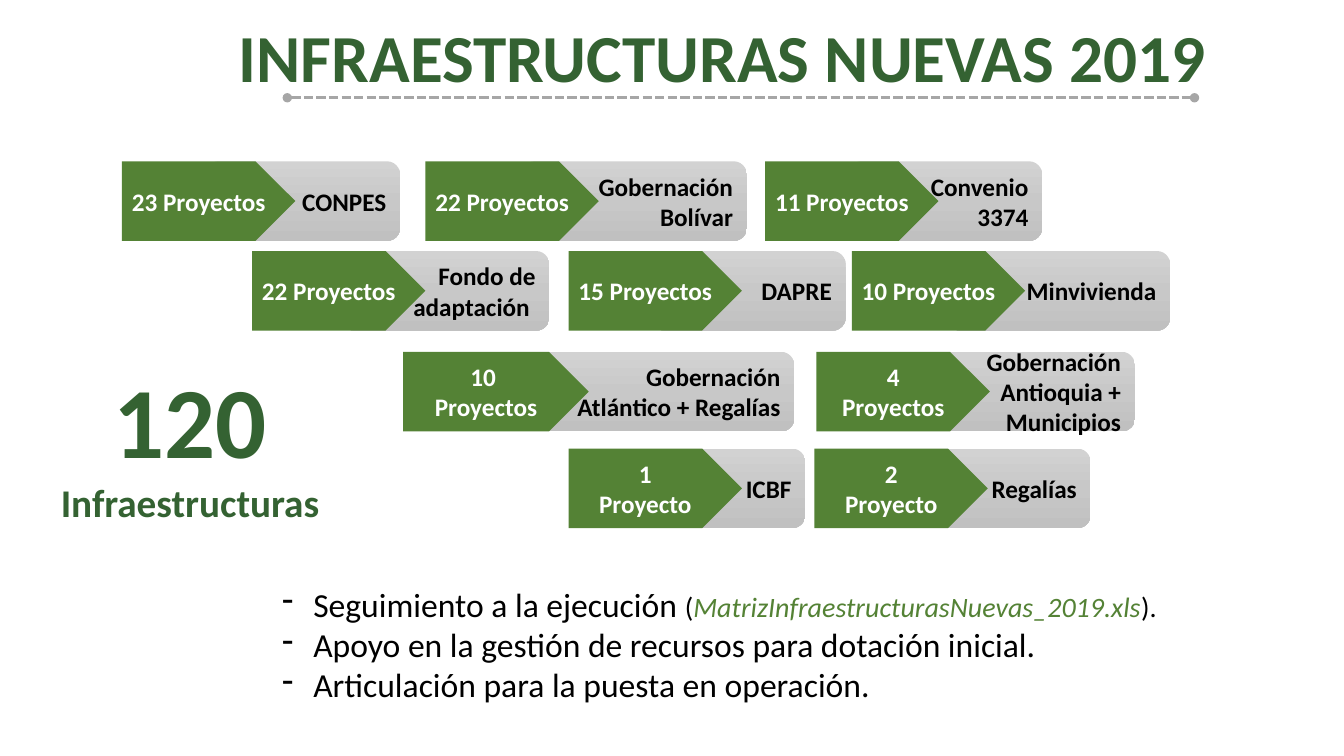
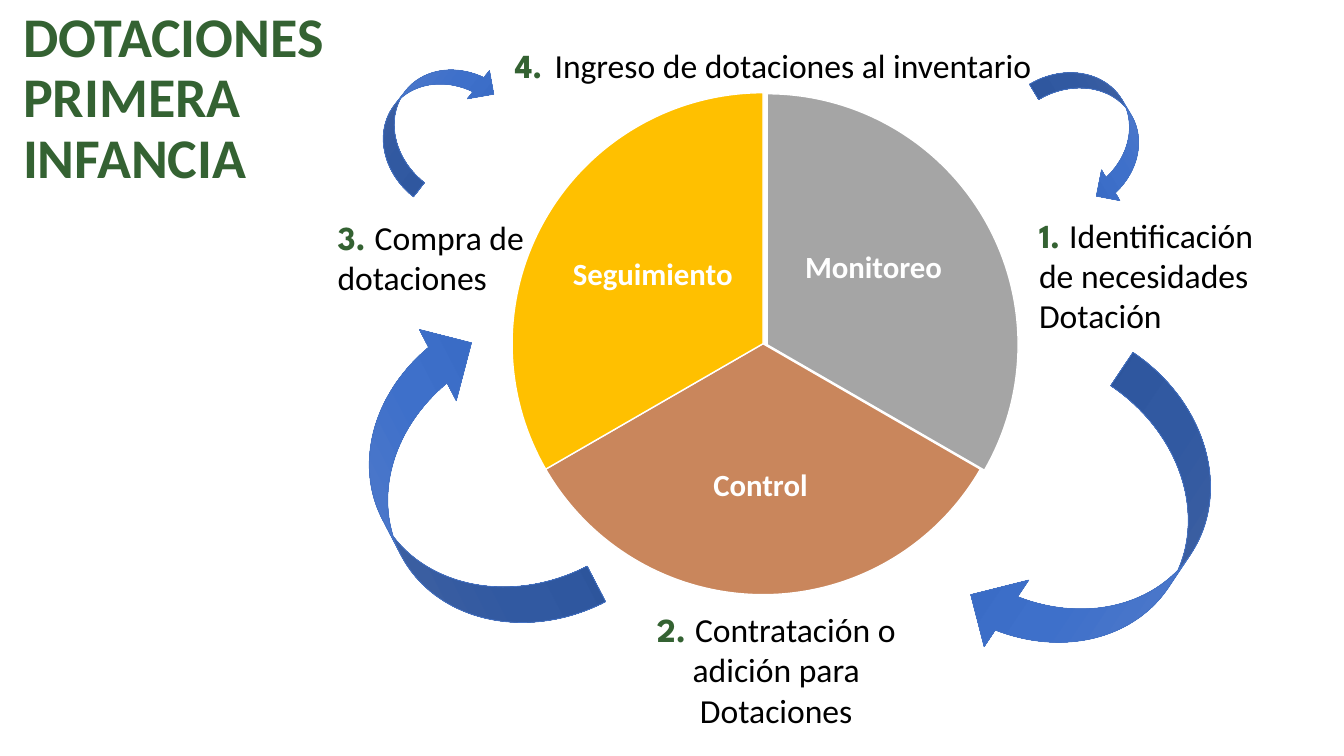
from copy import deepcopy

from lxml.etree import SubElement
from pptx import Presentation
from pptx.dml.color import RGBColor
from pptx.enum.dml import MSO_LINE
from pptx.enum.shapes import MSO_CONNECTOR, MSO_SHAPE
from pptx.enum.text import MSO_ANCHOR, PP_ALIGN
from pptx.oxml.ns import qn
from pptx.util import Inches, Pt

# Shared look; every position is counted in grid cells of a tenth of an inch
CELL = Inches(0.1)
COLUMNS, ROWS = 133.33, 75
BODY_FONT, NUMBER_FONT = "Calibri", "League Spartan"
BLACK = RGBColor(0x00, 0x00, 0x00)
WHITE = RGBColor(0xFF, 0xFF, 0xFF)
DARK_GREEN = RGBColor(0x34, 0x62, 0x32)
GREEN = RGBColor(0x54, 0x82, 0x35)
RULE_GRAY = RGBColor(0xA6, 0xA6, 0xA6)
BAR_GRAYS = [RGBColor(0xD2, 0xD2, 0xD2), RGBColor(0xC8, 0xC8, 0xC8),
             RGBColor(0xC0, 0xC0, 0xC0)]
ARROW_BLUES = [RGBColor(0x61, 0x83, 0xCB), RGBColor(0x3E, 0x70, 0xCA),
               RGBColor(0x30, 0x62, 0xBB)]
ARROW_EDGE = RGBColor(0x44, 0x72, 0xC4)
SLICE_GRAY = RGBColor(0xA5, 0xA5, 0xA5)
SLICE_BROWN = RGBColor(0xC9, 0x86, 0x5C)
SLICE_GOLD = RGBColor(0xFF, 0xC0, 0x00)

# Rows of project tags: top row, then (left, width, plate width, count, source)
TAG_ROWS = [
    (16, [(12.1, 27.6, 17.2, ["23 Proyectos"], ["CONPES"]),
          (42.2, 31.9, 17.2, ["22 Proyectos"], ["Gobernación", "Bolívar"]),
          (75.9, 27.5, 17.2, ["11 Proyectos"], ["Convenio", "3374"])]),
    (24.9, [(25, 29.5, 17.2, ["22 Proyectos"], ["Fondo de adaptación "]),
            (56.4, 27.5, 17.2, ["15 Proyectos"], ["DAPRE"]),
            (84.5, 31.6, 17.2, ["10 Proyectos"], ["Minvivienda"])]),
    (34.9, [(40, 38.8, 18.4, ["10 ", "Proyectos"],
             ["Gobernación", "Atlántico + Regalías"]),
            (81, 31.6, 17.2, ["4", "Proyectos"],
             ["Gobernación", "Antioquia +", "Municipios"])]),
    (44.5, [(56.4, 23.5, 17.2, ["1", "Proyecto"], ["ICBF"]),
            (80.8, 27.4, 17.2, ["2", "Proyecto"], ["Regalías"])]),
]
TAG_HEIGHT = 7.9
BAR_START = 0.3

# Slices: offset of the slice, angles, colour, label and the label's box
SLICES = [
    ((0.4, 0.1), (162, 18), SLICE_GRAY, "Monitoreo", (0.55, 0.185, 0.34, 0.33)),
    ((0, 0), (18, 90), SLICE_BROWN, "Control", (0.27, 0.63, 0.45, 0.31)),
    ((0, 0), (90, 162), SLICE_GOLD, "Seguimiento", (0.11, 0.2, 0.34, 0.33)),
]

# Steps around the pie: box, alignment, number, gap size, text
STEPS = [
    ((50.1, 2.9, 66.7, 6.4), PP_ALIGN.LEFT, "4.", 32,
     "Ingreso de dotaciones al inventario"),
    ((32.5, 21, 24.8, 9.1), PP_ALIGN.LEFT, "3.", 24, "Compra de dotaciones"),
    ((102.1, 20.8, 24.8, 13.1), PP_ALIGN.LEFT, "1.", 24,
     "Identificación de necesidades Dotación"),
    ((60.4, 59.9, 33.2, 13.1), PP_ALIGN.CENTER, "2.", 24,
     "Contratación o adición para Dotaciones"),
]
LARGE_ARROW, SMALL_ARROW = (32.9, 15.9), (14.7, 7.1)
ARROWS = [((93.4, 45.1), LARGE_ARROW, 123.8), ((29, 40.8), LARGE_ARROW, 242.6),
          ((35.4, 8), SMALL_ARROW, 308), ((101.6, 9.3), SMALL_ARROW, 59.1)]


def cells(*counts):
    return [round(count * CELL) for count in counts]


def run_of(text, size, color=BLACK, bold=False, italic=False, font=BODY_FONT):
    return text, size, color, bold, italic, font


def write(frame, paragraphs, align=PP_ALIGN.LEFT, spacing=None, dash=False):
    """Fill a frame with paragraphs, each one a list of runs."""
    for index, runs in enumerate(paragraphs):
        paragraph = frame.add_paragraph() if index else frame.paragraphs[0]
        paragraph.alignment = align
        if spacing:
            paragraph.line_spacing = spacing
        if dash:
            properties = paragraph._p.get_or_add_pPr()
            indent = Inches(0.31)
            properties.set("marL", str(indent))
            properties.set("indent", str(-indent))
            SubElement(properties, qn("a:buChar")).set("char", "-")
        for text, size, color, bold, italic, font in runs:
            run = paragraph.add_run()
            run.text = text
            run.font.size = Pt(size)
            run.font.color.rgb = color
            run.font.bold = bold
            run.font.italic = italic
            run.font.name = font


def add_text(slide, box, paragraphs, wrap=True, anchor=MSO_ANCHOR.TOP,
             margin=None, **style):
    frame = slide.shapes.add_textbox(*cells(*box)).text_frame
    frame.word_wrap = wrap
    frame.vertical_anchor = anchor
    if margin is not None:
        set_margins(frame, margin)
    write(frame, paragraphs, **style)


def set_margins(frame, margin):
    frame.margin_left = frame.margin_right = Inches(margin)
    frame.margin_top = frame.margin_bottom = Inches(margin)


def add_title(slide, box, text, size, **style):
    add_text(slide, box, [[run_of(text, size, DARK_GREEN, True)]], **style)


def add_shape(slide, kind, box, fill, edge=None, edge_width=1):
    """Add a shape filled with one colour or a three-stop vertical gradient."""
    shape = slide.shapes.add_shape(kind, *cells(*box))
    shape.shadow.inherit = False
    if isinstance(fill, list):
        shape.fill.gradient()
        shape.fill.gradient_angle = 270
        first = shape._element.spPr.find(".//" + qn("a:gs"))
        middle = deepcopy(first)
        middle.set("pos", "50000")
        first.addnext(middle)
        for stop, color in zip(shape.fill.gradient_stops, fill):
            stop.color.rgb = color
    else:
        shape.fill.solid()
        shape.fill.fore_color.rgb = fill
    if edge is None:
        shape.line.fill.background()
    else:
        shape.line.color.rgb = edge
        shape.line.width = Pt(edge_width)
    return shape


def add_rule(slide, left, right, row):
    """Dashed line with round ends below the title."""
    rule = slide.shapes.add_connector(MSO_CONNECTOR.STRAIGHT,
                                      *cells(left, row, right, row))
    rule.line.color.rgb = RULE_GRAY
    rule.line.width = Pt(2.25)
    rule.line.dash_style = MSO_LINE.SQUARE_DOT
    line = rule.line._get_or_add_ln()
    for end in ("a:headEnd", "a:tailEnd"):
        SubElement(line, qn(end)).set("type", "oval")
    SubElement(rule._element.spPr, qn("a:effectLst"))


def add_tag(slide, box, plate_width, count, source):
    """Gray source bar whose left part lies under a green plate."""
    left, top, width, height = box
    bar = add_shape(slide, MSO_SHAPE.ROUNDED_RECTANGLE,
                    (left + BAR_START * width, top,
                     (1 - BAR_START) * width, height), BAR_GRAYS)
    plate = add_shape(slide, MSO_SHAPE.PENTAGON,
                      (left, top, plate_width, height), GREEN)
    set_margins(plate.text_frame, 0.05)
    for shape, lines, color, align in (
            (bar, source, BLACK, PP_ALIGN.RIGHT),
            (plate, count, WHITE, PP_ALIGN.CENTER)):
        shape.text_frame.word_wrap = True
        shape.text_frame.vertical_anchor = MSO_ANCHOR.MIDDLE
        write(shape.text_frame, [[run_of(line, 18, color, True)] for line in lines],
              align)


def add_pie(slide, box):
    """Three equal slices, with labels placed as shares of the box."""
    left, top, width, height = box
    for (shift_x, shift_y), angles, color, label, share in SLICES:
        wedge = add_shape(slide, MSO_SHAPE.PIE,
                          (left + shift_x, top + shift_y, width, height),
                          color, WHITE)
        wedge.adjustments[0], wedge.adjustments[1] = angles
        x, y, w, h = share
        add_text(slide, (left + x * width, top + y * height, w * width, h * height),
                 [[run_of(label, 22, WHITE, True)]], anchor=MSO_ANCHOR.MIDDLE,
                 margin=0.03, align=PP_ALIGN.CENTER, spacing=0.9)


def build_new_buildings(slide):
    add_title(slide, (22.1, 1, 99.2, 9.1), "INFRAESTRUCTURAS NUEVAS 2019", 48,
              wrap=False, align=PP_ALIGN.CENTER)
    add_rule(slide, 28.5, 118.5, 9.7)
    # Follow-up tasks
    add_text(slide, (27, 57.4, 100.6, 13.1), [
        [run_of("Seguimiento a la ejecución ", 24), run_of("(", 20),
         run_of("MatrizInfraestructurasNuevas_2019.xls", 20, GREEN, italic=True),
         run_of(").", 20)],
        [run_of("Apoyo en la gestión de recursos para dotación inicial.", 24)],
        [run_of("Articulación para la puesta en operación.", 24)],
    ], dash=True)
    # Projects by source
    for top, tags in TAG_ROWS:
        for left, width, plate_width, count, source in tags:
            add_tag(slide, (left, top, width, TAG_HEIGHT), plate_width, count, source)
    # Total
    add_text(slide, (3.6, 35, 30.5, 17.8),
             [[run_of("120 ", 72, DARK_GREEN, True),
               run_of("Infraestructuras", 28, DARK_GREEN, True)]],
             align=PP_ALIGN.CENTER)


def build_supply_cycle(slide):
    add_pie(slide, (50.8, 9.2, 49.8, 49.8))
    # Numbered steps
    for box, align, number, gap_size, text in STEPS:
        add_text(slide, box, [[
            run_of(number, 24, DARK_GREEN, True, font=NUMBER_FONT),
            run_of(" ", gap_size, DARK_GREEN, True, font=NUMBER_FONT),
            run_of(text, 24)]], align=align)
    # Arrows from step to step
    for corner, size, angle in ARROWS:
        arrow = add_shape(slide, MSO_SHAPE.CURVED_DOWN_ARROW, corner + size,
                          ARROW_BLUES, ARROW_EDGE, 0.5)
        arrow.rotation = angle
    add_title(slide, (1.3, 0.4, 37.5, 19.2), "DOTACIONES PRIMERA INFANCIA", 40,
              spacing=0.9)


def main():
    deck = Presentation()
    deck.slide_width, deck.slide_height = cells(COLUMNS, ROWS)
    for build in (build_new_buildings, build_supply_cycle):
        build(deck.slides.add_slide(deck.slide_layouts[6]))
    deck.save("out.pptx")


if __name__ == "__main__":
    main()
